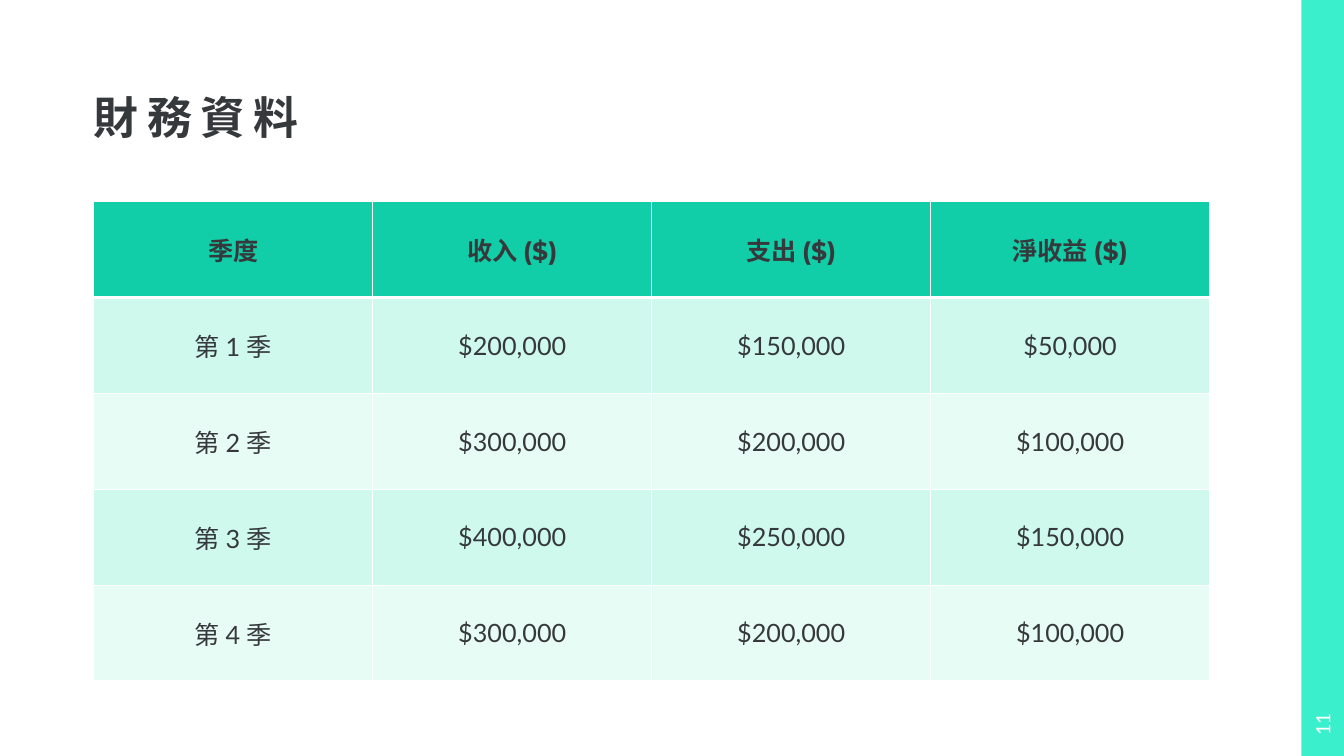
from lxml.etree import SubElement as Sub
from pptx import Presentation
from pptx.dml.color import RGBColor as RGB
from pptx.enum.shapes import MSO_SHAPE as Shape
from pptx.enum.text import MSO_ANCHOR as Anchor, MSO_AUTO_SIZE as Auto, PP_ALIGN as Align
from pptx.oxml.ns import qn
from pptx.util import Pt

DARK = RGB(0x36, 0x39, 0x3B)
WHITE = RGB(0xFF, 0xFF, 0xFF)
BAR = RGB(0x3A, 0xEF, 0xCC)
HEAD = RGB(0x11, 0xCE, 0xA9)
BANDS = [RGB(0xE8, 0xFC, 0xF6), RGB(0xCE, 0xF9, 0xEC)]
ASIAN = "Noto Sans CJK TC"

WIDE, HIGH = 960, 540
LEFT, SPAN = 67, 797
EDGE = 30.5

TITLE = {"name": ASIAN, "size": Pt(32), "bold": True}
TOP = {"name": "Montserrat", "size": Pt(18), "bold": True}
BODY = {"name": "Lato", "size": Pt(18), "bold": False}
PAGE = {"name": "Lato", "size": Pt(14), "bold": False}
FLUSH = dict.fromkeys(
    ["margin_left", "margin_top", "margin_right", "margin_bottom"], 0)

ROWS = [
    ["季度", "收入 ($)", "支出 ($)", "淨收益 ($)"],
    ["第 1 季", "$200,000", "$150,000", "$50,000"],
    ["第 2 季", "$300,000", "$200,000", "$100,000"],
    ["第 3 季", "$400,000", "$250,000", "$150,000"],
    ["第 4 季", "$300,000", "$200,000", "$100,000"],
]


def apply(item, form):
    for key, value in form.items():
        setattr(item, key, value)


def write(frame, text, form, color, align):
    """Fill the frame with one run, with a font for Asian letters too."""
    para = frame.paragraphs[0]
    para.alignment = align
    run = para.add_run()
    run.text = text
    apply(run.font, form)
    run.font.color.rgb = color
    props = run.font._element
    Sub(props, qn("a:ea"), typeface=ASIAN)
    return para, props


def add_title(slide, text):
    title = slide.shapes.title
    apply(title, {"left": Pt(LEFT), "top": 0, "width": Pt(SPAN), "height": Pt(103)})
    frame = title.text_frame
    apply(frame, {"vertical_anchor": Anchor.BOTTOM, "word_wrap": True,
                  "auto_size": Auto.NONE, **FLUSH})
    para, props = write(frame, text, TITLE, DARK, Align.LEFT)
    para.line_spacing = 0.9
    props.set("spc", "600")


def add_bar(slide):
    bar = slide.shapes.add_shape(
        Shape.RECTANGLE, Pt(WIDE - EDGE), 0, Pt(EDGE), Pt(HIGH))
    bar.shadow.inherit = False
    bar.fill.solid()
    bar.fill.fore_color.rgb = BAR
    bar.line.fill.background()


def add_page(slide, text):
    wide, mid = 44.5, 517.5
    box = slide.shapes.add_textbox(
        Pt(WIDE - (EDGE + wide) / 2), Pt(mid - EDGE / 2), Pt(wide), Pt(EDGE))
    box.rotation = 270
    apply(box.text_frame, {"word_wrap": True, "vertical_anchor": Anchor.MIDDLE})
    write(box.text_frame, text, PAGE, WHITE, Align.CENTER)


def add_edges(cell, sizes):
    """Draw white cell borders; sizes maps L, R, T and B, in that order."""
    props = cell._tc.get_or_add_tcPr()
    for side, size in sizes.items():
        line = Sub(props, qn(f"a:ln{side}"), w=str(Pt(size)))
        fill = Sub(line, qn("a:solidFill"))
        Sub(fill, qn("a:srgbClr"), val=str(WHITE))


def add_grid(slide, rows):
    grid = slide.shapes.add_table(
        len(rows), len(rows[0]), Pt(LEFT), Pt(144), Pt(SPAN), Pt(342.5)).table
    apply(grid, {"first_row": False, "horz_banding": False})
    for r, row in enumerate(rows):
        form, fill = (BODY, BANDS[r % 2]) if r else (TOP, HEAD)
        edges = {"L": 1, "R": 1, "T": 3 if r == 1 else 1, "B": 1 if r else 3}
        for c, text in enumerate(row):
            cell = grid.cell(r, c)
            cell.vertical_anchor = Anchor.MIDDLE
            add_edges(cell, edges)
            cell.fill.solid()
            cell.fill.fore_color.rgb = fill
            write(cell.text_frame, text, form, DARK, Align.CENTER)


def main():
    deck = Presentation()
    apply(deck, {"slide_width": Pt(WIDE), "slide_height": Pt(HIGH)})
    slide = deck.slides.add_slide(deck.slide_layouts[5])
    add_bar(slide)
    add_title(slide, "財務資料")
    add_grid(slide, ROWS)
    add_page(slide, "11")
    deck.save("out.pptx")


if __name__ == "__main__":
    main()
